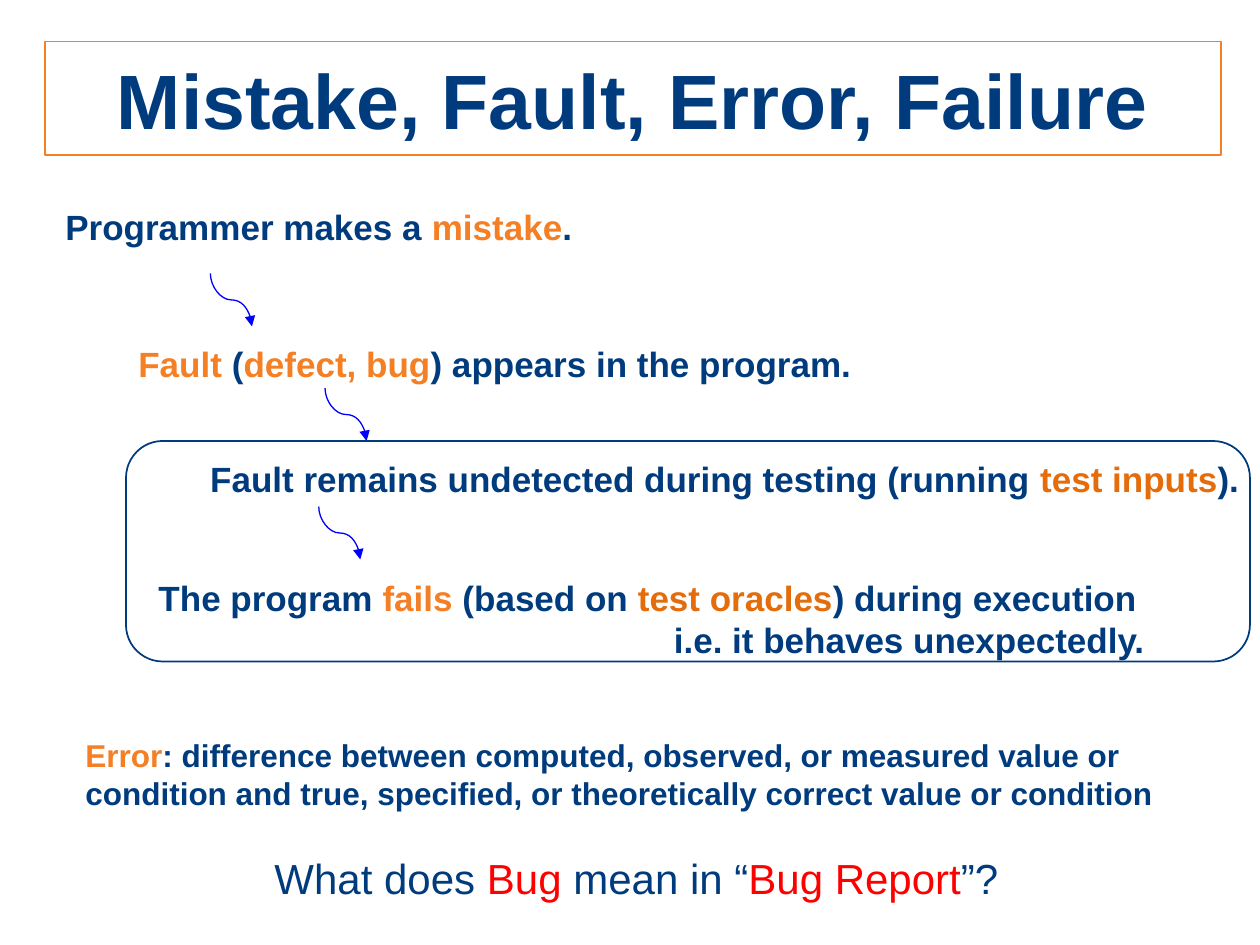
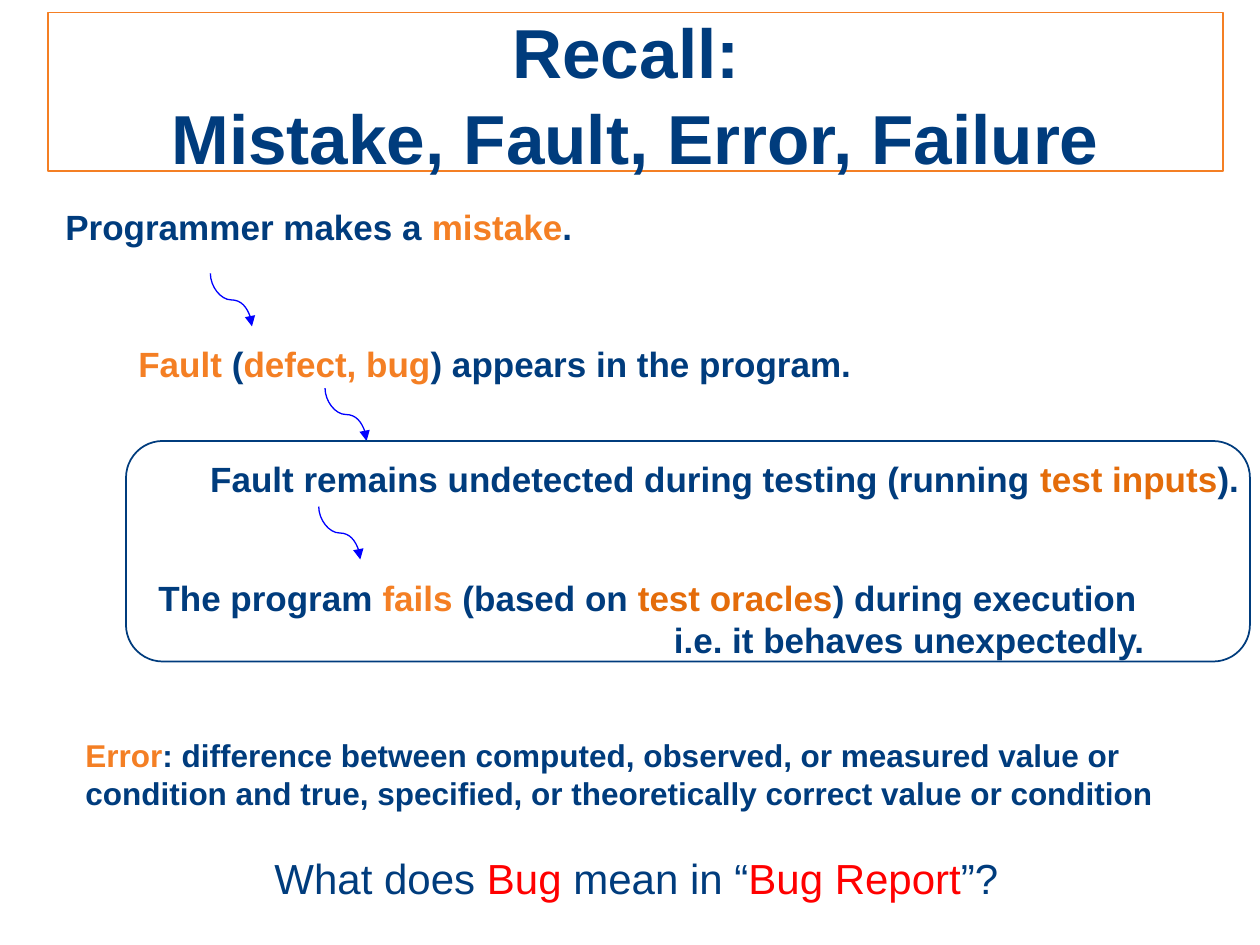
from lxml import etree
from pptx import Presentation
from pptx.dml.color import RGBColor
from pptx.enum.shapes import MSO_CONNECTOR, MSO_SHAPE
from pptx.enum.text import MSO_ANCHOR, PP_ALIGN
from pptx.oxml.ns import qn
from pptx.util import Inches, Pt

RECTANGLE = MSO_SHAPE.RECTANGLE
ROUNDED = MSO_SHAPE.ROUNDED_RECTANGLE
CURVE = MSO_CONNECTOR.CURVE
MIDDLE = MSO_ANCHOR.MIDDLE
CENTER = PP_ALIGN.CENTER

NAVY = RGBColor(0x00, 0x3C, 0x7D)
ORANGE = RGBColor(0xF4, 0x7F, 0x24)
DARK_ORANGE = RGBColor(0xE4, 0x6C, 0x0A)
RED = RGBColor(0xFF, 0x00, 0x00)
BLUE = RGBColor(0x00, 0x00, 0xFF)

FONT = "Arial"
QUARTER_TURN_LEFT = 270 * 60000


class Deck:
    """Holds the shared style and the slide being built."""

    def __init__(self):
        """Start an empty 10 by 7.5 inch presentation."""
        self.presentation = Presentation()
        self.presentation.slide_width = Inches(10)
        self.presentation.slide_height = Inches(7.5)
        self.slide = None

    def new_slide(self):
        """Add a blank slide and make it current."""
        layout = self.presentation.slide_layouts[6]
        self.slide = self.presentation.slides.add_slide(layout)

    def add_run(self, paragraph, text, size, color=NAVY, bold=True):
        """Append one styled run."""
        run = paragraph.add_run()
        run.text = text
        run.font.name = FONT
        run.font.size = Pt(size)
        run.font.bold = bold
        run.font.color.rgb = color

    def frame(self, kind, left, top, width, height, color):
        """Draw an unfilled outline and return it."""
        shape = self.slide.shapes.add_shape(
            kind, Inches(left), Inches(top), Inches(width), Inches(height))
        shape.shadow.inherit = False
        shape.fill.background()
        shape.line.color.rgb = color
        shape.line.width = Pt(1)
        return shape

    def title(self, lines, left, top, height, size):
        """Draw the framed title, its lines parted by line breaks."""
        shape = self.frame(RECTANGLE, left, top, 9.33, height, ORANGE)
        text_frame = shape.text_frame
        text_frame.word_wrap = True
        text_frame.vertical_anchor = MIDDLE
        text_frame.margin_top = text_frame.margin_bottom = 0
        paragraph = text_frame.paragraphs[0]
        paragraph.alignment = CENTER
        paragraph.line_spacing = 1.04 if len(lines) > 1 else 1
        for index, line in enumerate(lines):
            if index:
                paragraph.add_line_break()
            self.add_run(paragraph, line, size)

    def text(self, left, top, width, height, paragraphs, size=20, bold=True,
             wrap=False, last_indent=0):
        """Add a text box; each paragraph is a list of (text, color) runs."""
        box = self.slide.shapes.add_textbox(
            Inches(left), Inches(top), Inches(width), Inches(height))
        text_frame = box.text_frame
        text_frame.word_wrap = wrap
        for index, runs in enumerate(paragraphs):
            paragraph = (text_frame.add_paragraph() if index
                         else text_frame.paragraphs[0])
            for text, color in runs:
                self.add_run(paragraph, text, size, color, bold)
        if last_indent:
            properties = paragraph._p.get_or_add_pPr()
            properties.set("marL", str(Inches(last_indent)))

    def wavy_arrow(self, left, top, width=0.33, height=0.42):
        """Draw a curved arrow that leaves and arrives vertically."""
        # The connector is laid out lying down, then turned upright.
        turned_left = left + (width - height) / 2
        turned_top = top + (height - width) / 2
        connector = self.slide.shapes.add_connector(
            CURVE, Inches(turned_left + height), Inches(turned_top),
            Inches(turned_left), Inches(turned_top + width))
        connector.line.color.rgb = BLUE
        connector.line.width = Pt(0.75)
        properties = connector._element.spPr
        properties.find(qn("a:xfrm")).set("rot", str(QUARTER_TURN_LEFT))
        line = properties.find(qn("a:ln"))
        etree.SubElement(line, qn("a:tailEnd")).set("type", "triangle")
        etree.SubElement(properties, qn("a:effectLst"))

    def fault_chain(self):
        """Add the chain from mistake to failure and the closing remarks."""
        self.text(0.42, 1.58, 4.25, 0.44, [[
            ("Programmer makes a ", NAVY), ("mistake", ORANGE), (".", NAVY)]])
        self.text(1, 2.67, 5.9, 0.44, [[
            ("Fault", ORANGE), (" (", NAVY), ("defect, bug", ORANGE),
            (") appears in the program.", NAVY)]])
        self.text(1.57, 3.58, 8.42, 0.44, [[
            ("Fault remains undetected during testing (running ", NAVY),
            ("test inputs", DARK_ORANGE), (").", NAVY)]])
        self.text(1.16, 4.53, 8.1, 0.77, [
            [("The program ", NAVY), ("fails ", ORANGE), ("(based on ", NAVY),
             ("test oracles", DARK_ORANGE), (") during execution", NAVY)],
            [("i.e. it behaves unexpectedly.", NAVY)],
        ], wrap=True, last_indent=4.09)
        for left, top in ((1.67, 2.17), (2.58, 3.08), (2.53, 4.02)):
            self.wavy_arrow(left, top)
        self.frame(ROUNDED, 1, 3.5, 8.92, 1.75, NAVY)
        self.text(0.58, 5.79, 9.17, 0.71, [[
            ("Error", ORANGE),
            (": difference between computed, observed, or measured value or "
             "condition and true, specified, or theoretically correct value "
             "or condition", NAVY)]], size=18, wrap=True)
        self.text(2.08, 6.72, 7.18, 0.5, [[
            ("What does ", NAVY), ("Bug", RED), (" mean in “", NAVY),
            ("Bug Report", RED), ("”?", NAVY)]],
            size=24, bold=False, wrap=True)


TOPIC = "Mistake, Fault, Error, Failure"

deck = Deck()
for lines, left, top, height, size in (
        ([TOPIC], 0.36, 0.33, 0.9, 44),
        (["Recall: ", TOPIC], 0.38, 0.1, 1.26, 39.6)):
    deck.new_slide()
    deck.title(lines, left, top, height, size)
    deck.fault_chain()

deck.presentation.save("out.pptx")
